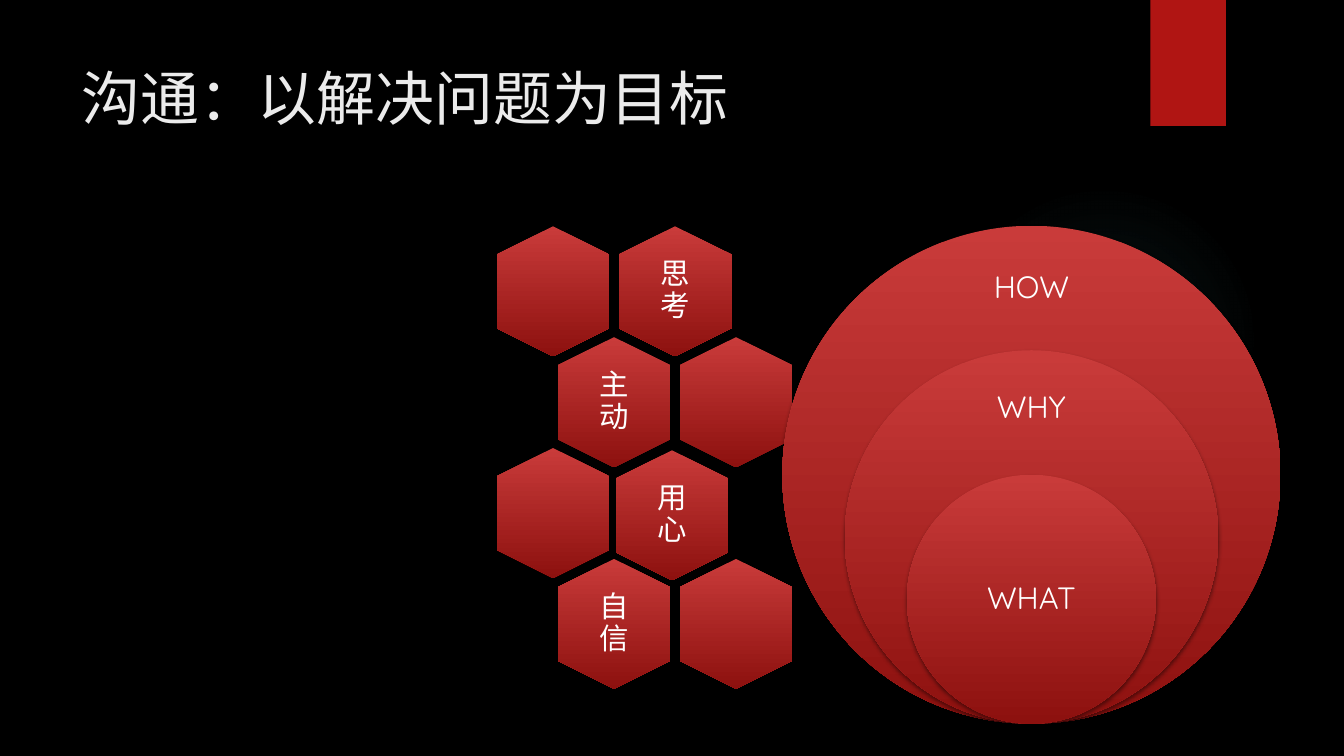
"""Build the slide on communication that aims at solving problems."""
import pptx
import pptx.dml.color
import pptx.enum.shapes
import pptx.enum.text
import pptx.oxml
import pptx.oxml.ns
import pptx.util

Inches = pptx.util.Inches
RGBColor = pptx.dml.color.RGBColor
Shape = pptx.enum.shapes.MSO_SHAPE
Align = pptx.enum.text.PP_ALIGN
Anchor = pptx.enum.text.MSO_ANCHOR

BLACK = RGBColor(0x00, 0x00, 0x00)
WHITE = RGBColor(0xFF, 0xFF, 0xFF)
TITLE_GREY = RGBColor(0xEB, 0xEB, 0xEB)
RIBBON_RED = RGBColor(0xB0, 0x15, 0x13)
LIGHT_RED = RGBColor(0xC9, 0x3B, 0x3A)
DARK_RED = RGBColor(0x8D, 0x11, 0x0F)
GLOW_TEAL = RGBColor(0x50, 0xB9, 0xC1)

FONT = "Quicksand"
RED_STOPS = [(0, LIGHT_RED, 100), (100, DARK_RED, 100)]
GLOW_STOPS = [(0, GLOW_TEAL, 7), (36, GLOW_TEAL, 6), (69, GLOW_TEAL, 0)]
DOWNWARD = '<a:lin ang="5400000" scaled="0"/>'
RADIAL = '<a:path path="circle"><a:fillToRect l="50000" t="50000" r="50000" b="50000"/></a:path>'

HEXAGON_LEFT, HEXAGON_TOP = 4.84, 2.33
HEXAGON_WIDTH, HEXAGON_HEIGHT = 1.29, 1.12
COLUMN_STEP, ROW_STEP = 0.605, 1.1
HEXAGONS = [
    (2, 0, "思考"), (0, 0, ""),
    (1, 1, "主动"), (3, 1, ""),
    (1.95, 2.02, "用心"), (0, 2, ""),
    (1, 3, "自信"), (3, 3, ""),
]

CIRCLE_CENTER, CIRCLE_BOTTOM, CIRCLE_SIZE = 10.23, 7.18, 4.94
CIRCLES = [(1, "HOW", 2.86), (0.75, "WHY", 4.05), (0.5, "WHAT", 5.95)]


def add_plain_shape(slide, kind, left, top, width, height):
    """Add a preset shape without outline or shadow."""
    shape = slide.shapes.add_shape(kind, Inches(left), Inches(top), Inches(width), Inches(height))
    shape.line.fill.background()
    shape.shadow.inherit = False
    return shape


def set_gradient(shape, stops, direction):
    """Fill a shape with a gradient that stays upright when the shape turns."""
    stop_list = "".join(
        f'<a:gs pos="{position * 1000}"><a:srgbClr val="{color}">'
        f'<a:alpha val="{alpha * 1000}"/></a:srgbClr></a:gs>'
        for position, color, alpha in stops
    )
    gradient = pptx.oxml.parse_xml(
        f'<a:gradFill {pptx.oxml.ns.nsdecls("a")} rotWithShape="0">'
        f"<a:gsLst>{stop_list}</a:gsLst>{direction}</a:gradFill>"
    )
    shape.fill.background()
    properties = shape.element.spPr
    properties.replace(properties.find(pptx.oxml.ns.qn("a:noFill")), gradient)


def add_shadow(shape):
    """Give a shape a soft shadow that falls straight down."""
    effects = shape.element.spPr.find(pptx.oxml.ns.qn("a:effectLst"))
    effects.append(pptx.oxml.parse_xml(
        f'<a:outerShdw {pptx.oxml.ns.nsdecls("a")} blurRad="38100" dist="25400" '
        f'dir="5400000" rotWithShape="0"><a:srgbClr val="{BLACK}">'
        '<a:alpha val="45000"/></a:srgbClr></a:outerShdw>'
    ))


def add_text(slide, text, left, top, width, height, size, color=WHITE, align=Align.CENTER):
    """Add one line of text, centred vertically in its box."""
    box = slide.shapes.add_textbox(Inches(left), Inches(top), Inches(width), Inches(height))
    frame = box.text_frame
    frame.word_wrap = True
    frame.vertical_anchor = Anchor.MIDDLE
    paragraph = frame.paragraphs[0]
    paragraph.text = text
    paragraph.alignment = align
    paragraph.font.name = FONT
    paragraph.font.size = pptx.util.Pt(size)
    paragraph.font.color.rgb = color
    return paragraph


def add_label(slide, text, center_x, center_y, width, height, size):
    """Add a white label around a centre point."""
    paragraph = add_text(slide, text, center_x - width / 2, center_y - height / 2,
                         width, height, size)
    paragraph.line_spacing = 0.9


def add_hexagon(slide, column, row, text):
    """Add an upright hexagon of the honeycomb, with its label if it has one."""
    left = HEXAGON_LEFT + column * COLUMN_STEP
    top = HEXAGON_TOP + row * ROW_STEP
    hexagon = add_plain_shape(slide, Shape.HEXAGON, left, top, HEXAGON_WIDTH, HEXAGON_HEIGHT)
    hexagon.adjustments[0] = 0.25
    hexagon.rotation = 90
    set_gradient(hexagon, RED_STOPS, DOWNWARD)
    add_shadow(hexagon)
    if text:
        add_label(slide, text, left + HEXAGON_WIDTH / 2, top + HEXAGON_HEIGHT / 2, 0.77, 0.89, 21)


def add_circle(slide, share, text, label_y):
    """Add one of the nested circles that rest on a common bottom point."""
    size = CIRCLE_SIZE * share
    circle = add_plain_shape(slide, Shape.OVAL, CIRCLE_CENTER - size / 2,
                             CIRCLE_BOTTOM - size, size, size)
    set_gradient(circle, RED_STOPS, DOWNWARD)
    add_shadow(circle)
    add_label(slide, text, CIRCLE_CENTER, label_y, 1.73, 0.74, 22)


def add_backdrop(slide):
    """Add the black background, the faint glow and the red ribbon."""
    slide.background.fill.solid()
    slide.background.fill.fore_color.rgb = BLACK
    glow = add_plain_shape(slide, Shape.OVAL, 9.41, 1.83, 3.08, 3.08)
    set_gradient(glow, GLOW_STOPS, RADIAL)
    ribbon = add_plain_shape(slide, Shape.RECTANGLE, 11.41, 0, 0.75, 1.25)
    ribbon.fill.solid()
    ribbon.fill.fore_color.rgb = RIBBON_RED
    add_shadow(ribbon)


def main():
    """Build and save the presentation."""
    presentation = pptx.Presentation()
    presentation.slide_width = Inches(13.33)
    presentation.slide_height = Inches(7.5)
    slide = presentation.slides.add_slide(presentation.slide_layouts[6])
    add_backdrop(slide)
    add_text(slide, "沟通：以解决问题为目标", 0.71, 0.5, 10.29, 0.93, 42, TITLE_GREY, Align.LEFT)
    for column, row, text in HEXAGONS:
        add_hexagon(slide, column, row, text)
    for share, text, label_y in CIRCLES:
        add_circle(slide, share, text, label_y)
    presentation.save("out.pptx")


if __name__ == "__main__":
    main()
